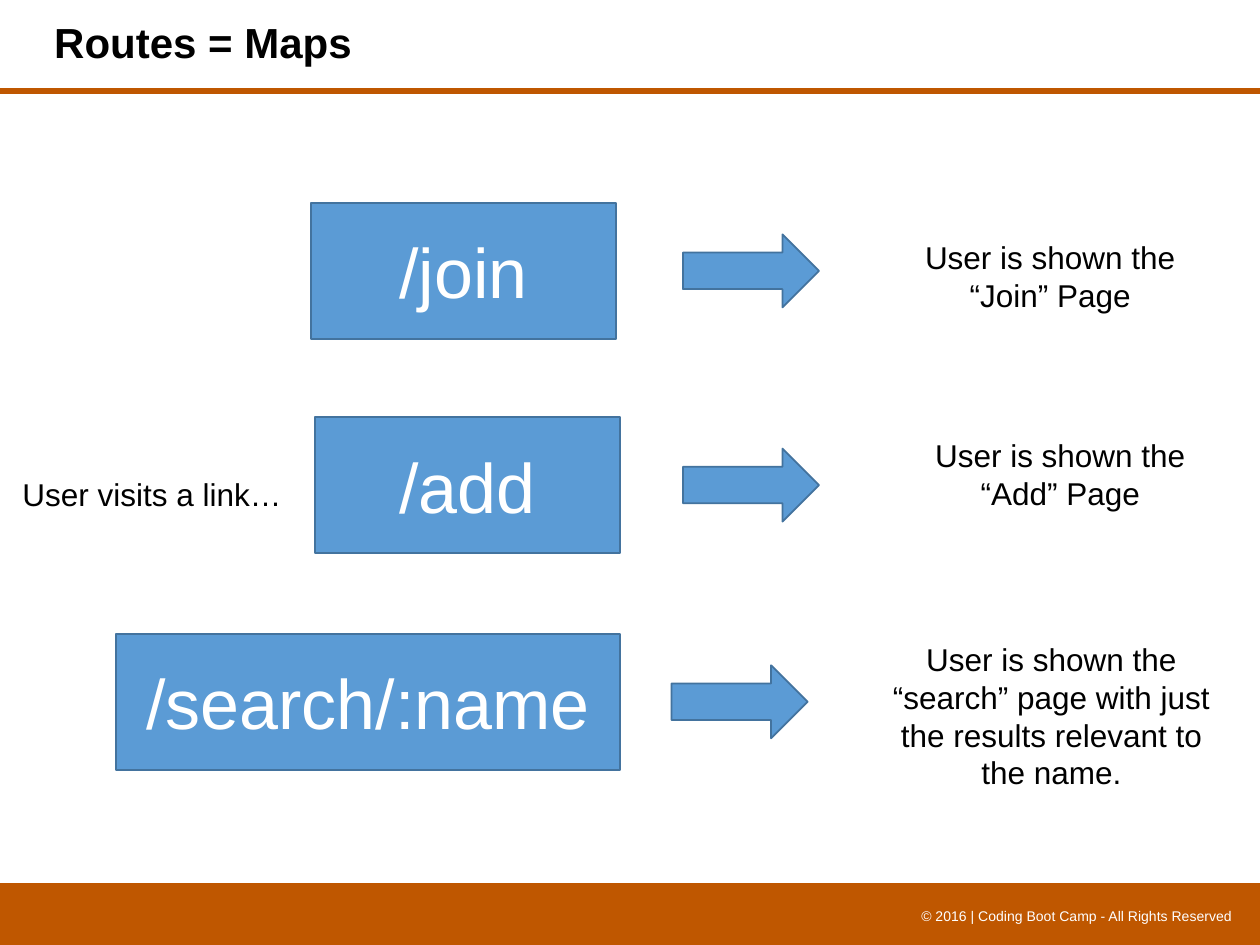
from dataclasses import dataclass

from lxml.etree import SubElement
from pptx import Presentation
from pptx.dml.color import RGBColor
from pptx.enum.shapes import MSO_CONNECTOR as Connector, MSO_SHAPE as Shape
from pptx.enum.text import MSO_ANCHOR as Anchor, MSO_AUTO_SIZE as AutoSize, PP_ALIGN as Align
from pptx.oxml.ns import qn
from pptx.shapes.autoshape import Shape as AutoShape
from pptx.slide import Slide
from pptx.util import Inches, Pt


@dataclass(frozen=True)
class Theme:
    font: str = "Arial"
    orange: RGBColor = RGBColor(0xBF, 0x57, 0x00)
    blue: RGBColor = RGBColor(0x5B, 0x9B, 0xD5)
    outline: RGBColor = RGBColor(0x43, 0x73, 0x9E)
    black: RGBColor = RGBColor(0, 0, 0)
    white: RGBColor = RGBColor(255, 255, 255)
    title_size: int = 24
    link_size: int = 40
    body_size: int = 18
    footer_size: int = 8


@dataclass(frozen=True)
class Box:
    left: float
    top: float
    width: float
    height: float

    def lengths(self) -> list[int]:
        return [Inches(v) for v in (self.left, self.top, self.width, self.height)]


@dataclass(frozen=True)
class Route:
    link: str
    link_box: Box
    arrow_left: float
    outcome: str
    outcome_box: Box


THEME = Theme()
ARROW_WIDTH, ARROW_HEIGHT = 1.08, 0.58
ROUTES = [
    Route("/join", Box(2.47, 1.61, 2.42, 1.08), 5.42,
          "User is shown the “Join” Page", Box(6.92, 1.84, 2.83, 0.71)),
    Route("/add", Box(2.5, 3.31, 2.42, 1.08), 5.42,
          "User is shown the “Add” Page", Box(7, 3.41, 2.83, 0.71)),
    Route("/search/:name", Box(0.92, 5.03, 4, 1.08), 5.33,
          "User is shown the “search” page with just the results relevant to the name.",
          Box(6.93, 5.03, 2.83, 1.31)),
]


def write(target: AutoShape, text: str, size: int, color: RGBColor,
          align: Align = Align.LEFT, bold: bool = False) -> None:
    target.text_frame.text = text
    paragraph = target.text_frame.paragraphs[0]
    paragraph.alignment = align
    font = paragraph.runs[0].font
    font.name, font.size, font.bold = THEME.font, Pt(size), bold
    font.color.rgb = color


def add_label(slide: Slide, box: Box, text: str, size: int, color: RGBColor,
              align: Align) -> None:
    label = slide.shapes.add_textbox(*box.lengths())
    label.text_frame.word_wrap = True
    label.text_frame.auto_size = AutoSize.SHAPE_TO_FIT_TEXT
    write(label, text, size, color, align)


def add_block(slide: Slide, kind: Shape, box: Box) -> AutoShape:
    block = slide.shapes.add_shape(kind, *box.lengths())
    block.shadow.inherit = False
    block.fill.solid()
    block.fill.fore_color.rgb = THEME.blue
    block.line.color.rgb = THEME.outline
    block.line.width = Pt(1)
    return block


def add_frame(slide: Slide) -> None:
    band = add_block(slide, Shape.FLOWCHART_PROCESS, Box(-0.01, 7.01, 10.01, 0.5))
    band.fill.fore_color.rgb = THEME.orange
    band.line.fill.background()
    rule = slide.shapes.add_connector(
        Connector.STRAIGHT, Inches(0), Inches(0.72), Inches(10), Inches(0.72))
    rule.line.color.rgb = THEME.orange
    rule.line.width = Pt(3.25)
    SubElement(rule._element.spPr, qn("a:effectLst"))
    add_label(slide, Box(6.83, 7.15, 3.05, 0.24),
              "© 2016 | Coding Boot Camp - All Rights Reserved",
              THEME.footer_size, THEME.white, Align.RIGHT)


def add_title(slide: Slide, text: str) -> None:
    title = slide.shapes.title
    title.left, title.top, title.width, title.height = Box(0.33, 0, 5.98, 0.72).lengths()
    title.text_frame.vertical_anchor = Anchor.MIDDLE
    write(title, text, THEME.title_size, THEME.black, bold=True)
    title.text_frame.paragraphs[0].line_spacing = 0.9


def add_route(slide: Slide, route: Route) -> None:
    link = add_block(slide, Shape.RECTANGLE, route.link_box)
    link.text_frame.vertical_anchor = Anchor.MIDDLE
    write(link, route.link, THEME.link_size, THEME.white, Align.CENTER)
    arrow_top = route.link_box.top + (route.link_box.height - ARROW_HEIGHT) / 2
    if route.arrow_left < 5.4:
        arrow_top = route.outcome_box.top + 0.25
    add_block(slide, Shape.RIGHT_ARROW,
              Box(route.arrow_left, arrow_top, ARROW_WIDTH, ARROW_HEIGHT))
    add_label(slide, route.outcome_box, route.outcome,
              THEME.body_size, THEME.black, Align.CENTER)


def main() -> None:
    deck = Presentation()
    deck.slide_width, deck.slide_height = Inches(10), Inches(7.5)
    slide = deck.slides.add_slide(deck.slide_layouts[5])
    add_frame(slide)
    add_title(slide, "Routes = Maps")
    for route in ROUTES:
        add_route(slide, route)
    add_label(slide, Box(0.08, 3.72, 2.83, 0.4), "User visits a link…",
              THEME.body_size, THEME.black, Align.LEFT)
    deck.save("out.pptx")


if __name__ == "__main__":
    main()
